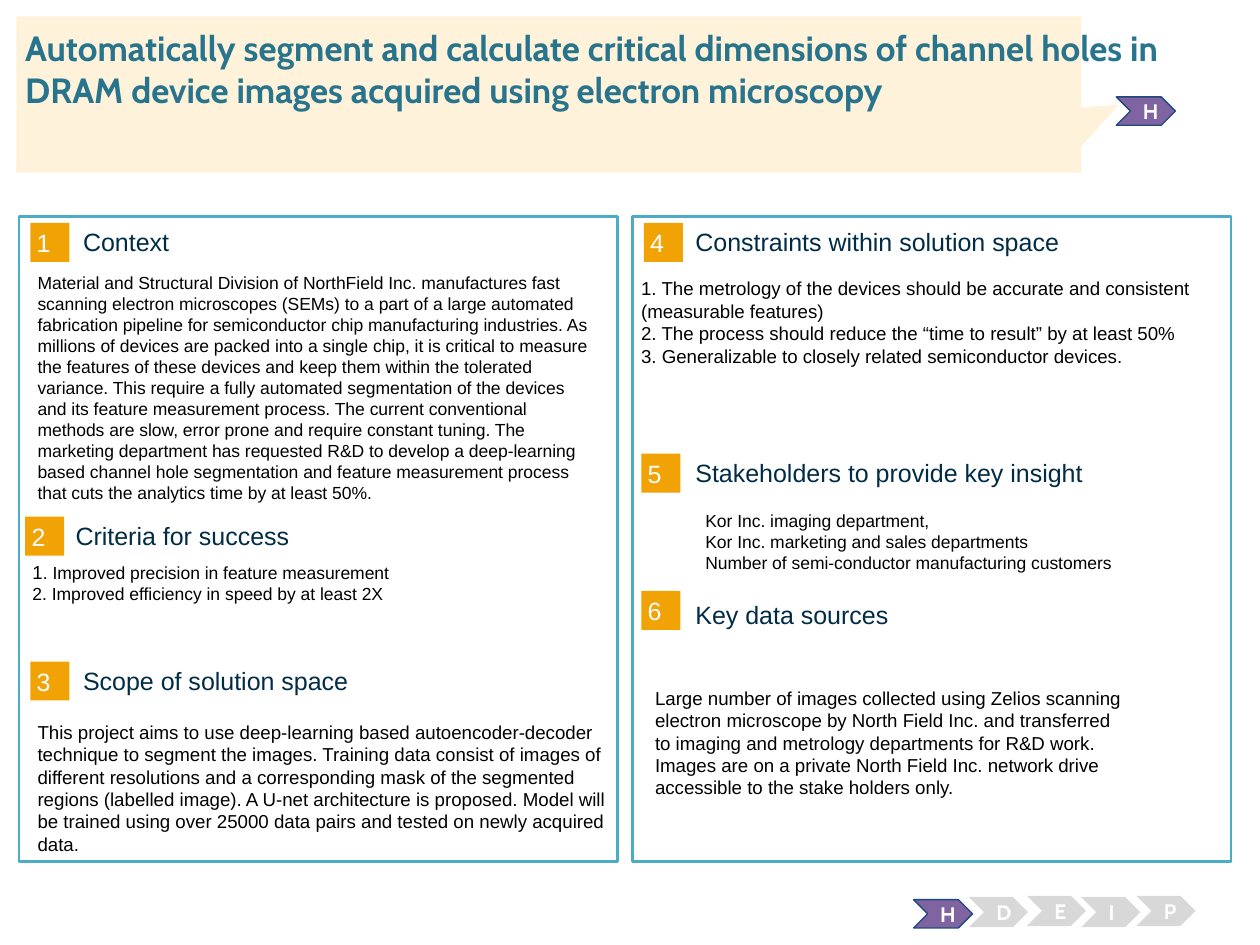
"""Build the problem statement worksheet slide."""
from pptx import Presentation
from pptx.dml.color import RGBColor
from pptx.enum.shapes import MSO_SHAPE
from pptx.enum.text import MSO_ANCHOR, MSO_AUTO_SIZE, PP_ALIGN
from pptx.util import Pt

RECT, CHEVRON, CALLOUT = MSO_SHAPE.RECTANGLE, MSO_SHAPE.CHEVRON, MSO_SHAPE.RECTANGULAR_CALLOUT
TOP, MIDDLE = MSO_ANCHOR.TOP, MSO_ANCHOR.MIDDLE
LEFT, CENTER = PP_ALIGN.LEFT, PP_ALIGN.CENTER
NO_FIT, GROW = MSO_AUTO_SIZE.NONE, MSO_AUTO_SIZE.SHAPE_TO_FIT_TEXT

WHITE = RGBColor(0xFF, 0xFF, 0xFF)
BLACK = RGBColor(0x00, 0x00, 0x00)
AQUA = RGBColor(0x4B, 0xAC, 0xC6)
ORANGE = RGBColor(0xF1, 0xA2, 0x05)
NAVY = RGBColor(0x00, 0x2C, 0x46)
PURPLE = RGBColor(0x80, 0x64, 0xA2)
BLUE = RGBColor(0x1F, 0x49, 0x7D)
GREY = RGBColor(0xD8, 0xD8, 0xD8)
CREAM = RGBColor(0xFE, 0xF2, 0xDA)
TEAL = RGBColor(0x29, 0x74, 0x8D)

BODY_FONT, HEAD_FONT = "Arial", "Cabin"
SMALL, MEDIUM, LARGE = 10, 10.7, 14.3
BODY_INSETS = (7.2, 3.6)

TITLE = ("Automatically segment and calculate critical dimensions of channel holes in "
         "DRAM device images acquired using electron microscopy")

SECTIONS = [
    ("1", 17.3, 127.4, "Context", 47.5, 129.6, 17.3),
    ("2", 14.4, 295.2, "Criteria for success", 43.2, 295.2, 21.6),
    ("3", 17.3, 378, "Scope of solution space", 47.5, 380.2, 17.3),
    ("4", 367.9, 127.4, "Constraints within solution space", 397.4, 129.6, 17.3),
    ("5", 366.5, 259.2, "Stakeholders to provide key insight", 397.4, 259.2, 21.6),
    ("6", 366.5, 337.7, "Key data sources", 397.4, 338.4, 25.9),
]

CONTEXT = (
    "Material and Structural Division of NorthField Inc. manufactures fast scanning electron "
    "microscopes (SEMs) to a part of a large automated fabrication pipeline for semiconductor "
    "chip manufacturing industries. As millions of devices are packed into a single chip, it is "
    "critical to measure the features of these devices and keep them within the tolerated "
    "variance. This require a fully automated segmentation of the devices and its feature "
    "measurement process. The current conventional methods are slow, error prone and require "
    "constant tuning. The marketing department has requested R&D to develop a deep-learning "
    "based channel hole segmentation and feature measurement process that cuts the analytics "
    "time by at least 50%.")
SCOPE = (
    "This project aims to use deep-learning based autoencoder-decoder technique to segment the "
    "images. Training data consist of images of different resolutions and a corresponding mask "
    "of the segmented regions (labelled image). A U-net architecture is proposed. Model will be "
    "trained using over 25000 data pairs and tested on newly acquired data.")
CONSTRAINTS = [
    "1. The metrology of the devices should be accurate and consistent (measurable features)",
    "2. The process should reduce the “time to result” by at least 50%",
    "3. Generalizable to closely related semiconductor devices.",
]
STAKEHOLDERS = [
    "Kor Inc. imaging department,",
    "Kor Inc. marketing and sales departments",
    "Number of semi-conductor manufacturing customers",
]
SOURCES = [
    "Large number of images collected using Zelios scanning",
    "electron microscope by North Field Inc. and transferred",
    "to imaging and metrology departments for R&D work.",
    "Images are on a private North Field Inc. network drive",
    "accessible to the stake holders only.",
]
CRITERIA = [
    [("1", MEDIUM), (". Improved precision in feature measurement", SMALL)],
    [("2. Improved efficiency in speed by at least 2X", SMALL)],
]


def plain(lines, size):
    return [[(line, size)] for line in lines]


class Deck:
    def __init__(self, width, height):
        self.prs = Presentation()
        self.prs.slide_width, self.prs.slide_height = Pt(width), Pt(height)
        self.s = self.prs.slides.add_slide(self.prs.slide_layouts[5])

    def fill_text(self, tf, paras, color, font=BODY_FONT, bold=False, align=LEFT,
                  anchor=TOP, insets=(0, 0), wrap=True, fit=NO_FIT):
        tf.word_wrap, tf.auto_size, tf.vertical_anchor = wrap, fit, anchor
        tf.margin_left = tf.margin_right = Pt(insets[0])
        tf.margin_top = tf.margin_bottom = Pt(insets[1])
        for i, runs in enumerate(paras):
            p = tf.add_paragraph() if i else tf.paragraphs[0]
            p.alignment = align
            for text, size in runs:
                r = p.add_run()
                r.text = text
                r.font.size, r.font.name, r.font.bold = Pt(size), font, bold
                r.font.color.rgb = color

    def shape(self, kind, x, y, w, h, fill, line=None, weight=0.75):
        sp = self.s.shapes.add_shape(kind, Pt(x), Pt(y), Pt(w), Pt(h))
        sp.shadow.inherit = False
        sp.fill.solid()
        sp.fill.fore_color.rgb = fill
        if line is None:
            sp.line.fill.background()
        else:
            sp.line.color.rgb = line
            sp.line.width = Pt(weight)
        return sp

    def text(self, x, y, w, h, paras, color=BLACK, **style):
        sp = self.s.shapes.add_textbox(Pt(x), Pt(y), Pt(w), Pt(h))
        self.fill_text(sp.text_frame, paras, color, **style)

    def body(self, x, y, w, h, paras, **style):
        self.text(x, y, w, h, paras, insets=BODY_INSETS, **style)

    def section(self, number, x, y, heading, hx, hy, hh):
        sp = self.shape(RECT, x, y, 22.3, 22.3, ORANGE)
        self.fill_text(sp.text_frame, plain([number], LARGE), WHITE, anchor=MIDDLE,
                       insets=(3.6, 3.6))
        self.text(hx, hy, 283, hh, plain([heading], LARGE), NAVY, anchor=MIDDLE)

    def stage(self, letter, x, y, active=False):
        fill, line, h = (PURPLE, BLUE, 16.2) if active else (GREY, None, 17.3)
        sp = self.shape(CHEVRON, x, y, 33.8, h, fill, line)
        self.fill_text(sp.text_frame, plain([letter], 12), WHITE, HEAD_FONT, True, CENTER,
                       MIDDLE, BODY_INSETS)

    def title(self, x, y, w, h, text):
        callout = self.shape(CALLOUT, 9.4, 9.4, 608.4, 89.3, CREAM)
        callout.adjustments[0], callout.adjustments[1] = 0.535, 0.066
        sp = self.s.shapes.title
        sp.left, sp.top, sp.width, sp.height = Pt(x), Pt(y), Pt(w), Pt(h)
        self.fill_text(sp.text_frame, plain([text], 20), TEAL, HEAD_FONT, True)
        callout.element.addnext(sp.element)


def main():
    deck = Deck(720, 540)
    for x in (10.8, 361.4):
        deck.shape(RECT, x, 123.8, 342, 368.6, WHITE, AQUA, 1.5)
    for section in SECTIONS:
        deck.section(*section)

    deck.body(14.4, 151.9, 333.4, 122.4, plain([CONTEXT], SMALL))
    deck.body(11.5, 316.8, 340.6, 72.7, CRITERIA)
    deck.body(14.4, 408.2, 340.6, 59, plain([SCOPE], MEDIUM))
    deck.body(359.3, 154.8, 340.6, 85, plain(CONSTRAINTS, MEDIUM))
    deck.body(396, 288, 247.7, 40.3, plain(STAKEHOLDERS, SMALL), wrap=False, fit=GROW)
    deck.body(367.2, 388.8, 339.8, 67, plain(SOURCES, MEDIUM), fit=GROW)

    deck.stage("H", 522, 514.1, active=True)
    for letter, x, y in zip("DEIP", (553.7, 586.8, 617.8, 649.4), (512.6, 511.9, 512.6, 511.9)):
        deck.stage(letter, x, y)
    deck.stage("H", 637.9, 55.4, active=True)
    deck.title(14.4, 15.1, 692.6, 24.5, TITLE)
    deck.prs.save("out.pptx")


if __name__ == "__main__":
    main()
